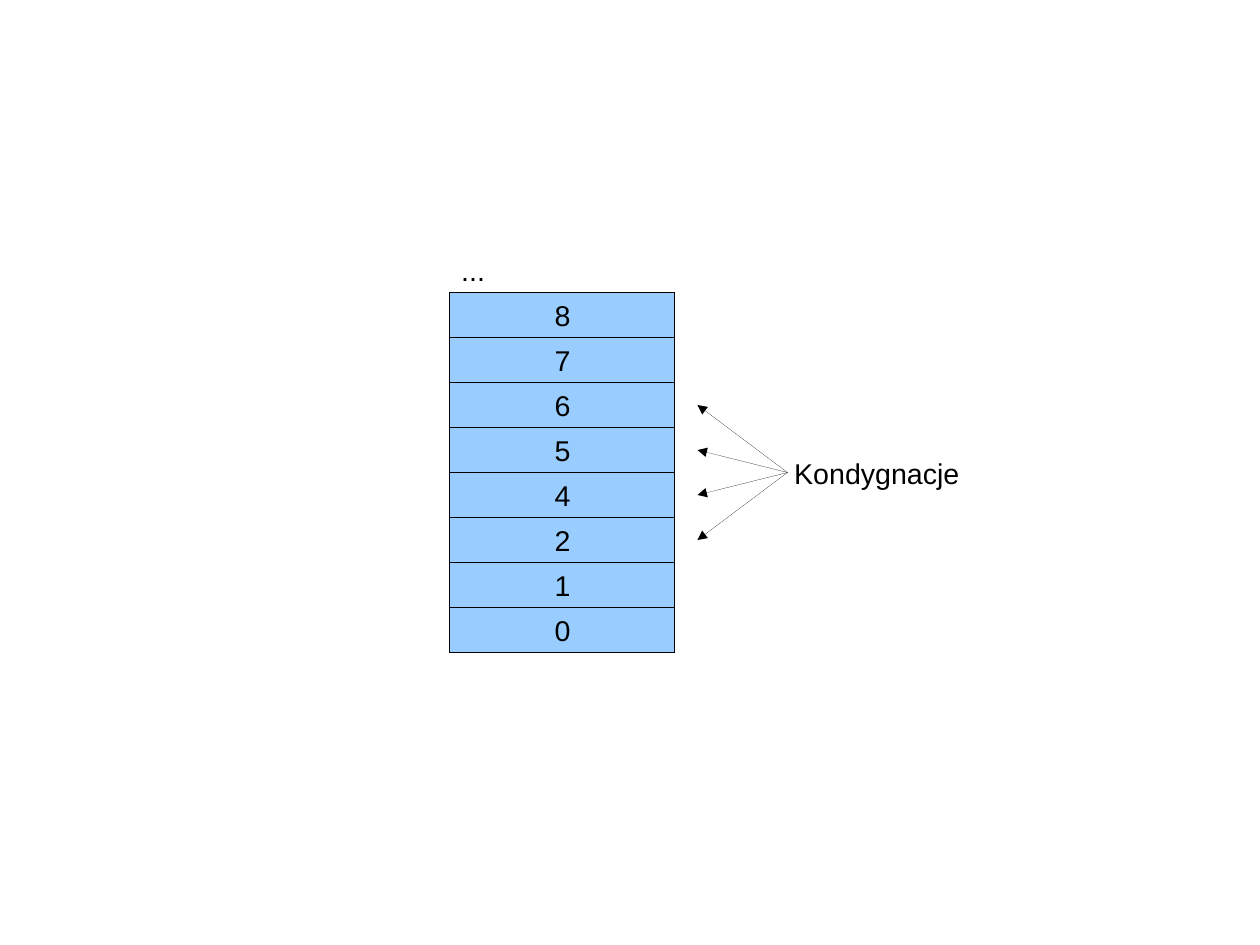
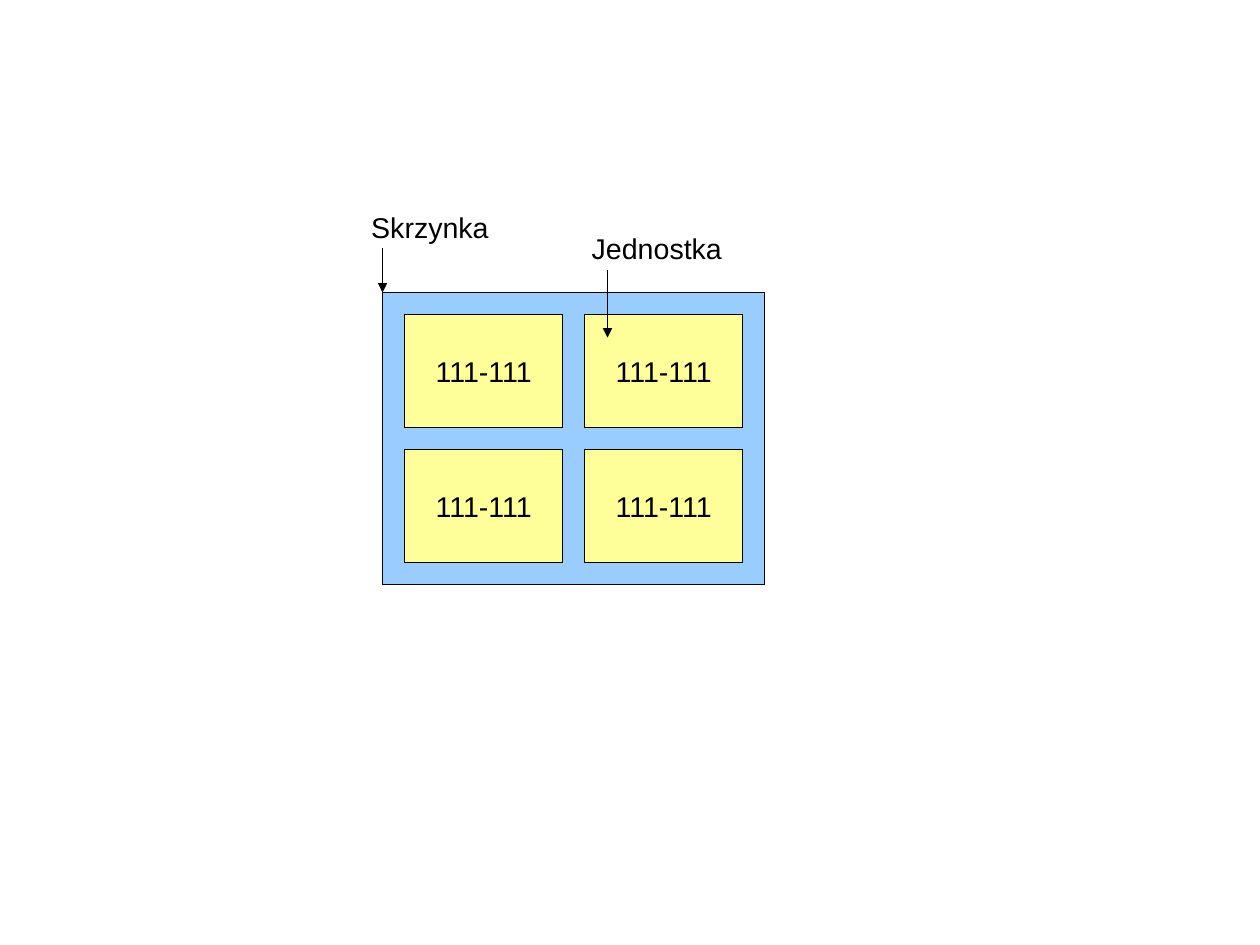
from lxml.etree import SubElement
from pptx import Presentation
from pptx.dml.color import RGBColor
from pptx.enum.shapes import MSO_CONNECTOR, MSO_SHAPE
from pptx.enum.text import MSO_ANCHOR, MSO_AUTO_SIZE, PP_ALIGN
from pptx.oxml.ns import qn
from pptx.util import Cm, Pt

COLUMNS, ROWS = 28, 21
FONT, TEXT_SIZE = "Arial", 18
BLACK, BLUE, YELLOW = "000000", "99CCFF", "FFFF99"
LABEL_HEIGHT = 0.97


def color(hex_code):
    return RGBColor.from_string(hex_code)


def grid(*cells):
    return [Cm(cell) for cell in cells]


def draw_hairline(shape):
    shape.line.color.rgb = color(BLACK)
    outline = shape._element.spPr.find(qn("a:ln"))
    outline.set("w", "0")
    return outline


def write(frame, text, align):
    paragraph = frame.paragraphs[0]
    paragraph.alignment = align
    run = paragraph.add_run()
    run.text = text
    run.font.name = FONT
    run.font.size = Pt(TEXT_SIZE)
    run.font.color.rgb = color(BLACK)


def add_block(slide, left, top, width, height, fill, text=None):
    block = slide.shapes.add_shape(MSO_SHAPE.RECTANGLE, *grid(left, top, width, height))
    block.shadow.inherit = False
    block.fill.solid()
    block.fill.fore_color.rgb = color(fill)
    draw_hairline(block)
    if text:
        block.text_frame.vertical_anchor = MSO_ANCHOR.MIDDLE
        write(block.text_frame, text, PP_ALIGN.CENTER)


def add_label(slide, left, top, width, text):
    label = slide.shapes.add_textbox(*grid(left, top, width, LABEL_HEIGHT))
    label.text_frame.word_wrap = False
    label.text_frame.auto_size = MSO_AUTO_SIZE.SHAPE_TO_FIT_TEXT
    write(label.text_frame, text, PP_ALIGN.LEFT)


def add_arrow(slide, start, end):
    arrow = slide.shapes.add_connector(MSO_CONNECTOR.STRAIGHT, *grid(*start, *end))
    SubElement(draw_hairline(arrow), qn("a:tailEnd"), type="triangle")
    SubElement(arrow._element.spPr, qn("a:effectLst"))


def build_tower(slide, left, top, width, height):
    floors = "87654210"
    floor_height = height / len(floors)
    for level, floor in enumerate(floors):
        add_block(slide, left, top + level * floor_height, width, floor_height, BLUE, floor)
    add_label(slide, left, top - floor_height, 1.04, "...")

    right, middle = left + width, top + height / 2
    add_label(slide, right + 2.4, middle - 0.5, 4.3, "Kondygnacje")
    for level in range(2, 6):
        add_arrow(slide, (right + 2.5, middle),
                  (right + 0.5, top + (level + 0.5) * floor_height))


def build_crate(slide, left, top, width, height, gap=0.5, across=2, down=2):
    add_block(slide, left, top, width, height, BLUE)
    unit_width = (width - gap * (across + 1)) / across
    unit_height = (height - gap * (down + 1)) / down
    for column in range(across):
        for row in range(down):
            add_block(slide, left + gap + column * (unit_width + gap),
                      top + gap + row * (unit_height + gap),
                      unit_width, unit_height, YELLOW, "111-111")

    add_arrow(slide, (left, top - 1), (left, top))
    add_label(slide, left - 0.5, top - 1.95, 3.2, "Skrzynka")
    unit_point = left + unit_width + 3 * gap
    add_arrow(slide, (unit_point, top - 0.5), (unit_point, top + 1))
    add_label(slide, unit_point - 0.6, top - 1.5, 3.5, "Jednostka")


def main():
    deck = Presentation()
    deck.slide_width, deck.slide_height = grid(COLUMNS, ROWS)
    blank = deck.slide_layouts[6]
    build_tower(deck.slides.add_slide(blank), 10, 6.5, 5, 8)
    build_crate(deck.slides.add_slide(blank), 8.5, 6.5, 8.5, 6.5)
    deck.save("out.pptx")


if __name__ == "__main__":
    main()
